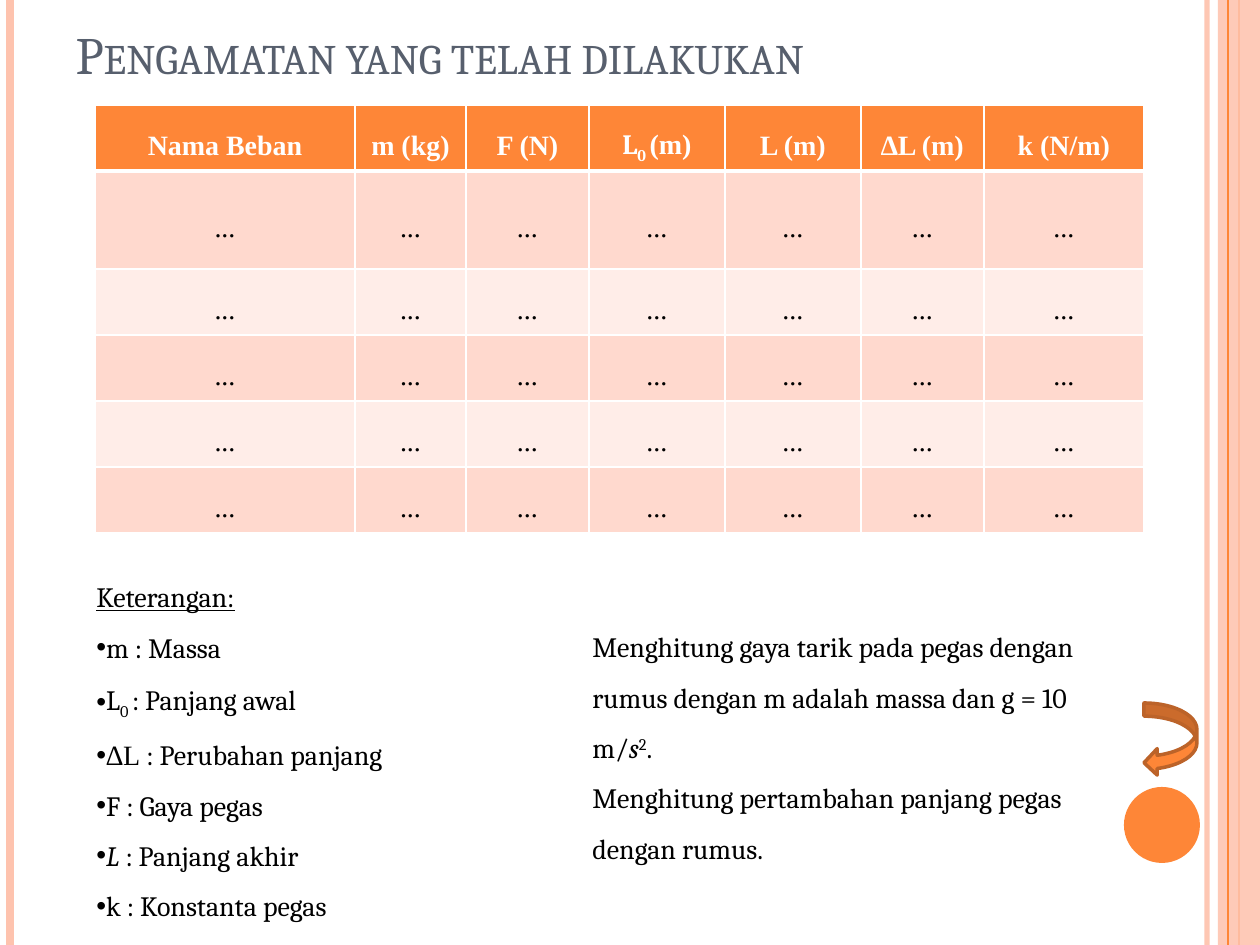
from dataclasses import dataclass

from lxml.etree import SubElement
from pptx import Presentation
from pptx.dml.color import RGBColor
from pptx.enum.shapes import MSO_CONNECTOR, MSO_SHAPE
from pptx.enum.text import MSO_ANCHOR, PP_ALIGN
from pptx.oxml.ns import qn
from pptx.util import Pt


@dataclass(frozen=True)
class Theme:
    orange: str = "FE8637"
    dark_orange: str = "BC6329"
    peach: str = "FEC3AE"
    title: str = "575F6D"
    text: str = "000000"
    white: str = "FFFFFF"
    bands: tuple = ("FFD9CE", "FFEDE8")
    serif: str = "Cambria"
    table_font: str = "Times New Roman"
    title_size: int = 30
    body_size: int = 16
    line_spacing: float = 1.5


THEME = Theme()
SCALE = 914400 / 126  # EMU per px
WIDTH, HEIGHT = 1260, 945

# Content: a run is (text, styles), where styles is a set of words
TITLE = "Pengamatan yang telah dilakukan"
HEADERS = [
    [("Nama Beban", {"times"})],
    [("m (kg)", {"times"})],
    [("F (N)", {"times"})],
    [("L", set()), ("0 ", {"sub"}), ("(m)", {"times"})],
    [("L (m)", {"times"})],
    [("∆L (m)", {"times"})],
    [("k (N/m)", {"times"})],
]
EMPTY_CELL = [("...", {"times"})]
COLUMN_WIDTHS = [260, 111, 123, 136, 136, 123, 160]
ROW_HEIGHTS = [66, 98, 66, 66, 66, 66]
LEGEND_HEADING = [("Keterangan:", {"underline"})]
LEGEND = [
    [("m : Massa", set())],
    [("L", set()), ("0 ", {"sub"}), (": Panjang awal", set())],
    [("∆L", {"times"}), (" : Perubahan panjang", set())],
    [("F : Gaya pegas", set())],
    [("L ", {"italic"}), (": Panjang akhir", set())],
    [("k : Konstanta pegas", set())],
]
STEPS = [
    [("Menghitung gaya tarik pada pegas dengan rumus dengan m adalah massa "
      "dan g = 10 m/", set()), ("s", {"italic"}), ("2", {"super"}), (".", set())],
    [("Menghitung pertambahan panjang pegas dengan rumus.", set())],
]
# Vertical rules: x, colour, width in points, opacity in percent
RULES = [
    (1207, THEME.peach, 3, 93),
    (10, THEME.peach, 4.5, 100),
    (1239, THEME.orange, 1.5, 100),
]
FRONT_RULE = (1228, THEME.orange, 0.75, 100)


def px(*lengths):
    return [round(length * SCALE) for length in lengths]


def color(value):
    return RGBColor.from_string(value)


def set_opacity(properties, percent):
    for element in properties.iter(qn("a:srgbClr")):
        SubElement(element, qn("a:alpha"), val=str(percent * 1000))


def add_rule(slide, x, line_color, width, opacity):
    rule = slide.shapes.add_connector(MSO_CONNECTOR.STRAIGHT, *px(x, 0, x, HEIGHT))
    rule.line.color.rgb = color(line_color)
    rule.line.width = Pt(width)
    properties = rule._element.spPr
    if opacity < 100:
        set_opacity(properties, opacity)
    SubElement(properties, qn("a:effectLst"))


def add_filled(slide, kind, box, fill):
    shape = slide.shapes.add_shape(kind, *px(*box))
    shape.shadow.inherit = False
    shape.fill.solid()
    shape.fill.fore_color.rgb = color(fill)
    shape.line.fill.background()
    return shape


def write_runs(paragraph, runs, text_color, bold=False):
    paragraph.line_spacing = THEME.line_spacing
    for text, styles in runs:
        run = paragraph.add_run()
        run.text = text
        font = run.font
        font.name = THEME.table_font if "times" in styles else THEME.serif
        font.size = Pt(THEME.body_size)
        font.color.rgb = color(text_color)
        font.bold = bold
        font.italic = "italic" in styles
        font.underline = "underline" in styles
        for style, baseline in (("sub", "-25000"), ("super", "30000")):
            if style in styles:
                font._element.set("baseline", baseline)


def add_text(slide, box, paragraphs):
    """Add a text box; each paragraph is (runs, bulleted)."""
    text_frame = slide.shapes.add_textbox(*px(*box)).text_frame
    text_frame.word_wrap = True
    for index, (runs, bulleted) in enumerate(paragraphs):
        paragraph = text_frame.add_paragraph() if index else text_frame.paragraphs[0]
        if bulleted:
            properties = paragraph._p.get_or_add_pPr()
            properties.set("marL", "0")
            properties.set("indent", "0")
            SubElement(properties, qn("a:buFont"), typeface="Arial")
            SubElement(properties, qn("a:buChar"), char="•")
        write_runs(paragraph, runs, THEME.text)


def set_borders(cell, widths):
    properties = cell._tc.get_or_add_tcPr()
    for side, width in zip("LRTB", widths):
        line = SubElement(properties, qn(f"a:ln{side}"), w=str(Pt(width)))
        fill = SubElement(line, qn("a:solidFill"))
        SubElement(fill, qn("a:srgbClr"), val=THEME.white)


def add_observation_table(slide):
    box = (95, 105, sum(COLUMN_WIDTHS), sum(ROW_HEIGHTS))
    rows = [HEADERS] + [[EMPTY_CELL] * len(HEADERS)] * (len(ROW_HEIGHTS) - 1)
    table = slide.shapes.add_table(len(rows), len(HEADERS), *px(*box)).table
    for column, width in zip(table.columns, px(*COLUMN_WIDTHS)):
        column.width = width
    for row, height in zip(table.rows, px(*ROW_HEIGHTS)):
        row.height = height
    for row_index, row in enumerate(rows):
        header = row_index == 0
        fill = THEME.orange if header else THEME.bands[(row_index - 1) % 2]
        borders = (1, 1, 3 if row_index == 1 else 1, 3 if header else 1)
        for column_index, runs in enumerate(row):
            cell = table.cell(row_index, column_index)
            set_borders(cell, borders)
            cell.fill.solid()
            cell.fill.fore_color.rgb = color(fill)
            cell.vertical_anchor = MSO_ANCHOR.MIDDLE
            cell.margin_left, cell.margin_right = px(9, 9)
            cell.margin_top = cell.margin_bottom = 0
            paragraph = cell.text_frame.paragraphs[0]
            paragraph.alignment = PP_ALIGN.CENTER
            write_runs(paragraph, runs, THEME.white if header else THEME.text, header)


def format_title(title):
    title.left, title.top, title.width, title.height = px(63, 0, 1029, 91)
    title.text_frame.text = TITLE
    title.text_frame.vertical_anchor = MSO_ANCHOR.BOTTOM
    paragraph = title.text_frame.paragraphs[0]
    paragraph.alignment = PP_ALIGN.LEFT
    font = paragraph.runs[0].font
    font.name = THEME.serif
    font.size = Pt(THEME.title_size)
    font.color.rgb = color(THEME.title)
    font._element.set("cap", "small")


def main():
    presentation = Presentation()
    presentation.slide_width, presentation.slide_height = px(WIDTH, HEIGHT)
    slide = presentation.slides.add_slide(presentation.slide_layouts[5])

    # Side decoration
    for rule in RULES:
        add_rule(slide, *rule)
    band = add_filled(slide, MSO_SHAPE.RECTANGLE, (1218, 0, 42, HEIGHT), THEME.peach)
    set_opacity(band._element.spPr, 87)
    add_rule(slide, *FRONT_RULE)
    add_filled(slide, MSO_SHAPE.OVAL, (1124, 787, 76, 76), THEME.orange)

    # Title, table and notes below it
    format_title(slide.shapes.title)
    add_observation_table(slide)
    legend = [(LEGEND_HEADING, False)] + [(runs, True) for runs in LEGEND]
    add_text(slide, (84, 557, 522, 388), legend)
    add_text(slide, (580, 607, 522, 270), [(runs, False) for runs in STEPS])

    # Return arrow
    arrow = add_filled(slide, MSO_SHAPE.CURVED_LEFT_ARROW, (1144, 703, 53, 73), THEME.orange)
    arrow.line.color.rgb = color(THEME.dark_orange)
    arrow.line.width = Pt(2)

    presentation.save("out.pptx")


if __name__ == "__main__":
    main()
